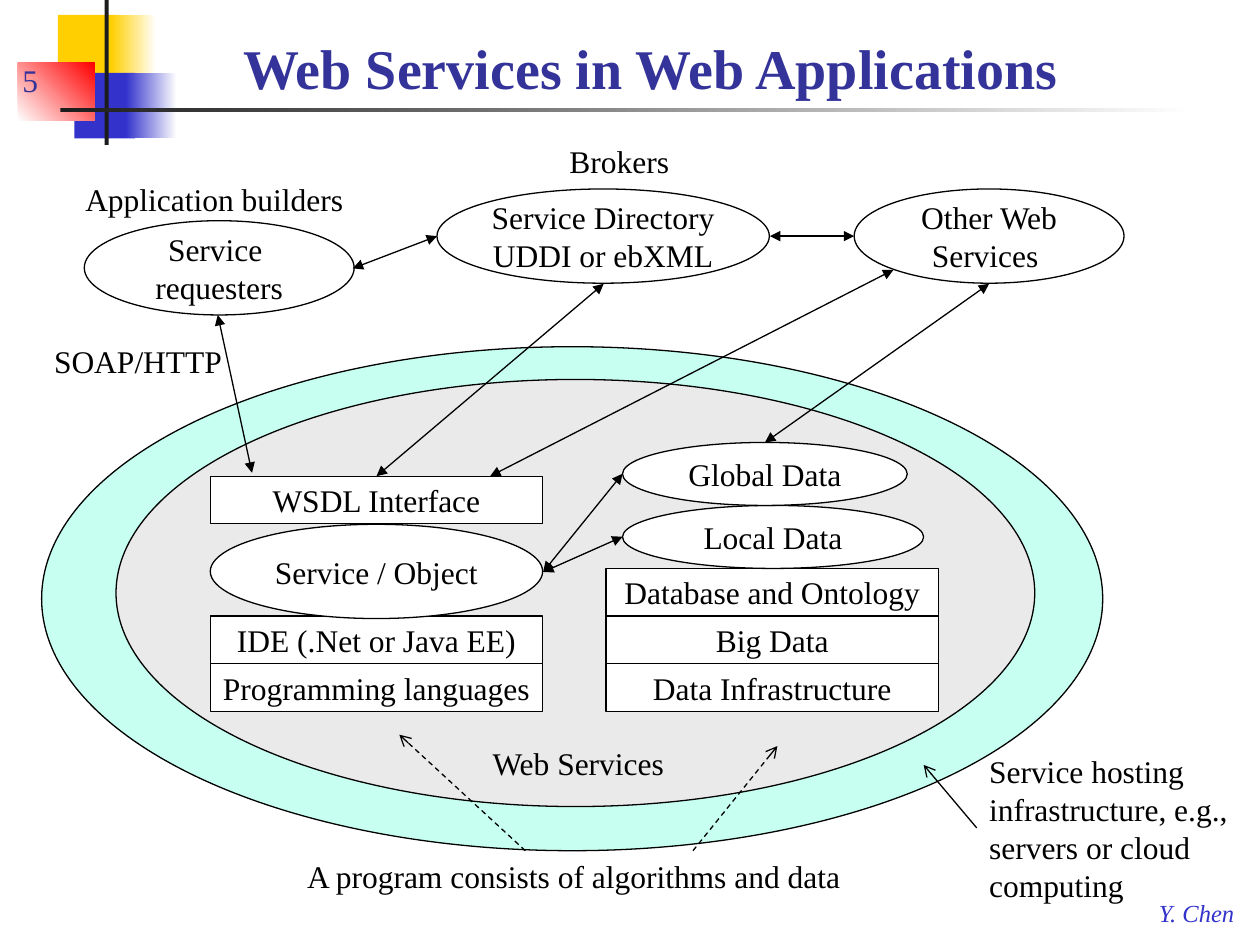
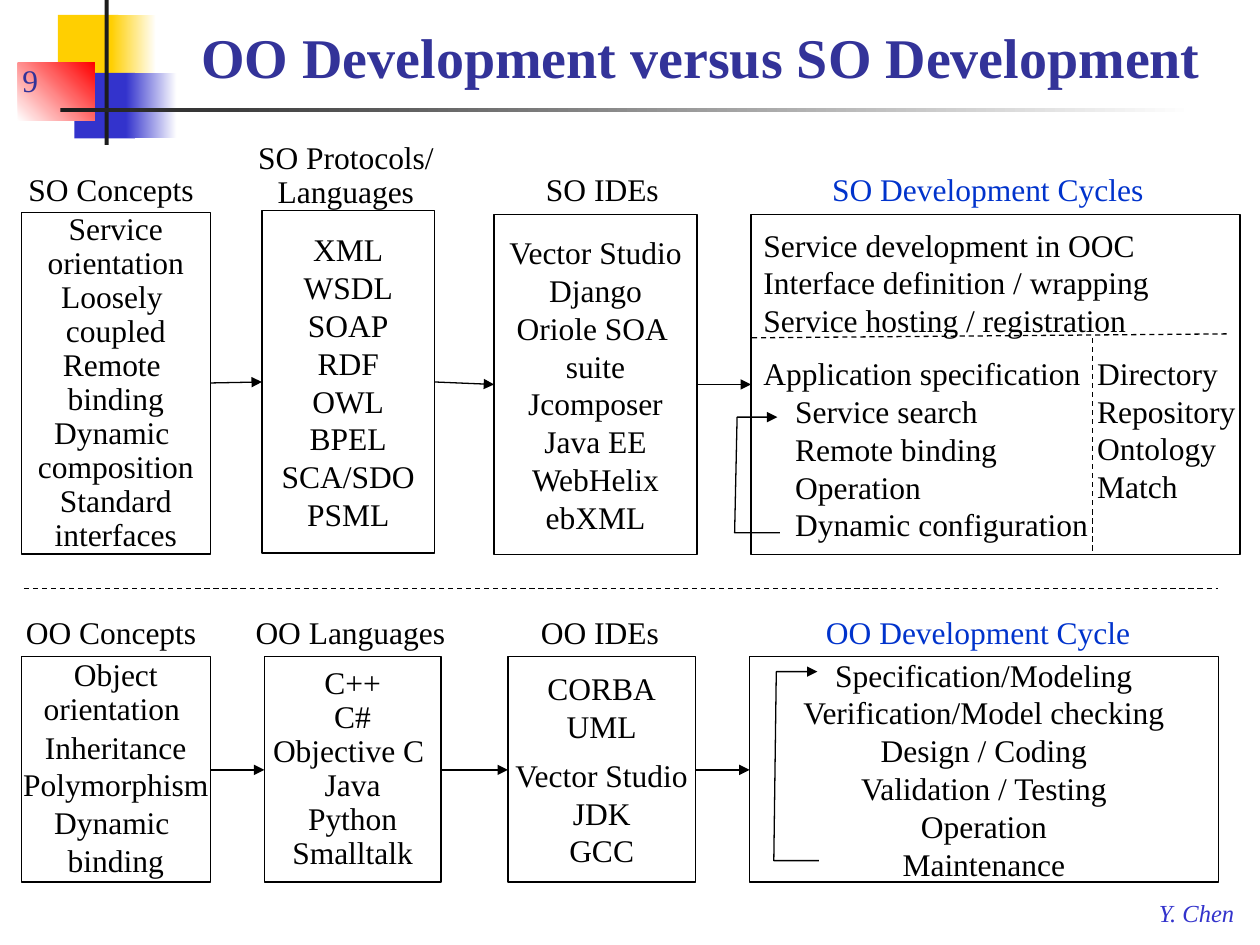
"""Build two slides on web services and on OO versus SO development."""
from pptx import Presentation
from pptx.dml.color import RGBColor
from pptx.enum.dml import MSO_LINE_DASH_STYLE as Dash
from pptx.enum.shapes import MSO_CONNECTOR, MSO_SHAPE
from pptx.enum.text import MSO_ANCHOR as Anchor, PP_ALIGN as Align
from pptx.oxml.ns import qn
from pptx.util import Cm, Pt
from lxml.etree import SubElement

COLOURS = {
    "black": "000000", "white": "FFFFFF", "ink": "1C1C1C", "yellow": "FFCF01",
    "blue": "3333CC", "red": "FF0000", "title": "333399", "cycle": "0033CC",
    "mint": "C7FFF0", "grey": "EAEAEA",
}
RGB = {name: RGBColor.from_string(code) for name, code in COLOURS.items()}
RECT, OVAL = MSO_SHAPE.RECTANGLE, MSO_SHAPE.OVAL
NODE = {"word_wrap": False, "vertical_anchor": Anchor.MIDDLE}
LABEL = {"word_wrap": False, "vertical_anchor": Anchor.TOP}
WRAPPED = {"word_wrap": True, "vertical_anchor": Anchor.TOP}
BOTTOM = {"word_wrap": True, "vertical_anchor": Anchor.BOTTOM}
CENTRED = {"alignment": Align.CENTER}
TIGHT = {"alignment": Align.CENTER, "line_spacing": 0.9}
LEFT = {"alignment": Align.LEFT}


def put(page, kind, place, text="", fill=None, border=None, ink="black",
        frame=NODE, para_format=CENTRED, **font):
    """Add a shape, or a text box when kind is None, with its text."""
    place = [Cm(length) for length in place]
    if kind is None:
        box = page.shapes.add_textbox(*place)
    else:
        box = page.shapes.add_shape(kind, *place)
        box.shadow.inherit = False
        if fill is None:
            box.fill.background()
        elif isinstance(fill, str):
            box.fill.solid()
            box.fill.fore_color.rgb = RGB[fill]
        else:
            box.fill.gradient()
            box.fill.gradient_angle = fill[2]
            for stop, name in zip(box.fill.gradient_stops, fill):
                stop.color.rgb = RGB[name]
        if border:
            box.line.color.rgb = RGB[border]
            box.line.width = Pt(0.75)
        else:
            box.line.fill.background()
    if text:
        for name, value in frame.items():
            setattr(box.text_frame, name, value)
        for index, words in enumerate(text.split("\n")):
            para = box.text_frame.add_paragraph() if index else box.text_frame.paragraphs[0]
            for name, value in para_format.items():
                setattr(para, name, value)
            span = para.add_run()
            span.text = words
            span.font.color.rgb = RGB[ink]
            for name, value in {"name": "Times New Roman", "size": Pt(18), **font}.items():
                setattr(span.font, name, value)
    return box


def link(page, points, head=None, tail=None, dashed=False):
    """Draw a line through the points, with optional arrowheads."""
    points = [(Cm(x), Cm(y)) for x, y in points]
    if len(points) == 2:
        line = page.shapes.add_connector(MSO_CONNECTOR.STRAIGHT, *points[0], *points[1])
    else:
        builder = page.shapes.build_freeform(*points[0])
        builder.add_line_segments(points[1:], close=False)
        line = builder.convert_to_shape()
        line.fill.background()
    line.line.color.rgb = RGB["black"]
    line.line.width = Pt(0.75)
    if dashed:
        line.line.dash_style = Dash.DASH
    properties = line.element.spPr
    outline = properties.find(qn("a:ln"))
    for end, arrow in (("a:headEnd", head), ("a:tailEnd", tail)):
        if arrow:
            SubElement(outline, qn(end)).set("type", arrow)
    SubElement(properties, qn("a:effectLst"))


deck = Presentation()
deck.slide_width, deck.slide_height = Cm(25.4), Cm(19.05)

bands = [
    ((1.17, 0.3, 1.22, 1.32), "yellow"),
    ((2.24, 0.3, 0.91, 1.32), ("yellow", "white", 0)),
    ((1.5, 1.47, 1.22, 1.32), "blue"),
    ((2.54, 1.47, 1.02, 1.32), ("blue", "white", 0)),
    ((0.36, 1.27, 1.55, 1.17), ("white", "red", 45)),
    ((2.11, 0, 0.08, 2.92), "ink"),
    ((1.22, 2.18, 22.86, 0.08), ("ink", "white", 0)),
]
headings = [
    ("5", "Web Services in Web Applications", (4.65, 0.43, 20.55, 1.73)),
    ("9", "OO Development versus SO Development", (3.81, 0.2, 21.39, 1.73)),
]
pages = []
for number, title, place in headings:
    page = deck.slides.add_slide(deck.slide_layouts[6])
    for band, fill in bands:
        put(page, RECT, band, fill=fill)
    put(page, None, (23.11, 17.98, 2.08, 0.84), "Y. Chen", ink="blue", frame=LABEL,
        para_format=LEFT, size=Pt(14), italic=True)
    put(page, None, (0.2, 0.84, 5.28, 1.27), number, ink="title", frame=BOTTOM,
        para_format=LEFT)
    put(page, None, place, title, ink="title", frame=BOTTOM, para_format=LEFT,
        size=Pt(32), bold=True)
    pages.append(page)
services, development = pages

put(services, OVAL, (0.84, 6.99, 21.39, 10.16), fill="mint", border="black")
put(services, OVAL, (2.34, 7.65, 18.52, 8.61), fill="grey", border="black")

bar_width, bar_height = 6.7, 0.96
stacks = [
    (12.22, 11.46, ["Database and Ontology", "Big Data", "Data Infrastructure"]),
    (4.24, 12.42, ["IDE (.Net or Java EE)", "Programming languages"]),
    (4.24, 9.6, ["WSDL Interface"]),
]
for left, top, names in stacks:
    for row, name in enumerate(names):
        put(services, RECT, (left, top + row * bar_height, bar_width, bar_height), name,
            "white", "black")

ovals = [
    ((12.55, 10.19, 6.07, 1.27), "Local Data"),
    ((12.55, 8.92, 5.74, 1.27), "Global Data"),
    ((4.24, 10.57, 6.7, 1.9), "Service / Object"),
    ((8.81, 3.81, 6.7, 1.9), "Service Directory\nUDDI or ebXML"),
    ((1.7, 4.45, 5.44, 1.9), "Service \nrequesters"),
    ((17.22, 3.81, 5.44, 1.9), "Other Web\nServices "),
]
for place, name in ovals:
    put(services, OVAL, place, name, "white", "black")

exchanges = [
    ((9.88, 9.6), (18.01, 5.44)),
    ((7.59, 9.6), (12.17, 5.72)),
    ((7.11, 5.41), (8.81, 4.76)),
    ((15.42, 8.92), (19.94, 5.72)),
    ((12.55, 10.82), (10.95, 11.53)),
    ((12.55, 9.55), (10.95, 11.53)),
    ((15.52, 4.76), (17.22, 4.76)),
    ((4.39, 6.35), (5.08, 9.53)),
]
for points in exchanges:
    link(services, points, head="triangle", tail="triangle")

labels = [
    (0.84, 6.78, 3.89, "SOAP/HTTP"),
    (9.68, 14.88, 4.01, "Web Services"),
    (1.47, 3.51, 5.72, "Application builders"),
    (11.23, 2.74, 2.51, "Brokers"),
    (5.94, 17.15, 11.63, "A program consists of algorithms and data"),
]
for left, top, width, name in labels:
    put(services, None, (left, top, width, 1.02), name, frame=LABEL, para_format=LEFT)
put(services, None, (19.69, 15.04, 5.66, 3.33),
    "Service hosting infrastructure, e.g., servers or cloud computing",
    frame=WRAPPED, para_format=LEFT)

link(services, [(10.59, 17.15), (8.05, 14.81)], tail="arrow", dashed=True)
link(services, [(13.97, 17.15), (15.67, 15.04)], tail="arrow", dashed=True)
link(services, [(19.69, 16.69), (18.62, 15.42)], tail="arrow")

captions = [
    (-0.2, 3.3, 4.88, "SO Concepts", "black"),
    (9.68, 3.3, 4.93, "SO IDEs", "black"),
    (16.12, 3.3, 7.59, "SO Development Cycles", "cycle"),
    (-0.2, 12.24, 4.88, "OO Concepts", "black"),
    (4.65, 12.24, 4.83, "OO Languages", "black"),
    (9.58, 12.24, 5.03, "OO IDEs", "black"),
    (16, 12.24, 7.44, "OO Development Cycle", "cycle"),
]
for left, top, width, name, ink in captions:
    put(development, None, (left, top, width, 1.02), name, ink=ink, frame=WRAPPED)
put(development, None, (3.38, 2.74, 7.19, 1.65), "SO Protocols/\nLanguages",
    frame=WRAPPED, para_format=TIGHT)

oo_top, oo_height = 13.23, 4.55
columns = {
    "so_concepts": ((0.43, 4.29, 3.81, 6.88), TIGHT,
                    "Service\norientation\nLoosely \ncoupled\nRemote \nbinding\n"
                    "Dynamic \ncomposition\nStandard\ninterfaces"),
    "so_protocols": ((5.28, 4.24, 3.48, 6.91), CENTRED,
                     "XML\nWSDL\nSOAP\nRDF\nOWL\nBPEL\nSCA/SDO\nPSML"),
    "so_ides": ((9.96, 4.32, 4.09, 6.86), CENTRED,
                "Vector Studio\nDjango\nOriole SOA \nsuite\nJcomposer\nJava EE\n"
                "WebHelix\nebXML"),
    "so_cycles": ((15.14, 4.32, 9.86, 6.86), LEFT,
                  "Service development in OOC\nInterface definition / wrapping\n"
                  "Service hosting / registration\nApplication specification\n"
                  "Service search\nRemote binding\nOperation\nDynamic configuration"),
    "oo_concepts": ((0.43, oo_top, 3.81, oo_height), CENTRED,
                    "Object\norientation \nInheritance\nPolymorphism\nDynamic \nbinding"),
    "oo_languages": ((5.33, oo_top, 3.56, oo_height), TIGHT,
                     "C++\nC#\nObjective C \nJava\nPython\nSmalltalk"),
    "oo_ides": ((10.24, oo_top, 3.78, oo_height), CENTRED,
                "CORBA\nUML\nVector Studio\nJDK\nGCC"),
    "oo_cycle": ((15.11, oo_top, 9.45, oo_height), CENTRED,
                 "Specification/Modeling\nVerification/Model checking\nDesign / Coding\n"
                 "Validation / Testing\nOperation\nMaintenance"),
}
paragraphs = {}
for name, (place, para_format, text) in columns.items():
    box = put(development, RECT, place, text, border="black", para_format=para_format)
    paragraphs[name] = box.text_frame.paragraphs
    if name == "so_cycles":
        box.text_frame.word_wrap = True

for para in paragraphs["oo_concepts"][:2]:
    para.line_spacing = 0.9
paragraphs["oo_ides"][2].line_spacing = 1.3
paragraphs["so_cycles"][3].line_spacing = 1.4
for para in paragraphs["so_cycles"][4:]:
    para._p.get_or_add_pPr().set("marL", str(Cm(0.64)))

put(development, None, (21.87, 7.01, 3.33, 3.33), "Directory\nRepository\nOntology\nMatch",
    frame=LABEL, para_format=LEFT)

flows = [
    [(4.24, 7.72), (5.28, 7.7)],
    [(8.76, 7.7), (9.96, 7.75)],
    [(14.05, 7.75), (15.14, 7.75)],
    [(4.24, 15.52), (5.33, 15.52)],
    [(8.89, 15.52), (10.24, 15.52)],
    [(14.02, 15.52), (15.11, 15.52)],
    [(15.72, 10.74), (14.81, 10.74), (14.86, 8.41), (15.67, 8.41)],
    [(16.51, 17.35), (15.6, 17.35), (15.65, 13.54), (16.48, 13.54)],
]
for points in flows:
    link(development, points, tail="triangle")

dividers = [
    [(0.48, 11.86), (24.56, 11.86)],
    [(15.16, 6.81), (24.77, 6.73)],
    [(22.02, 6.81), (22.02, 11.18)],
]
for points in dividers:
    link(development, points, dashed=True)

deck.save("out.pptx")
